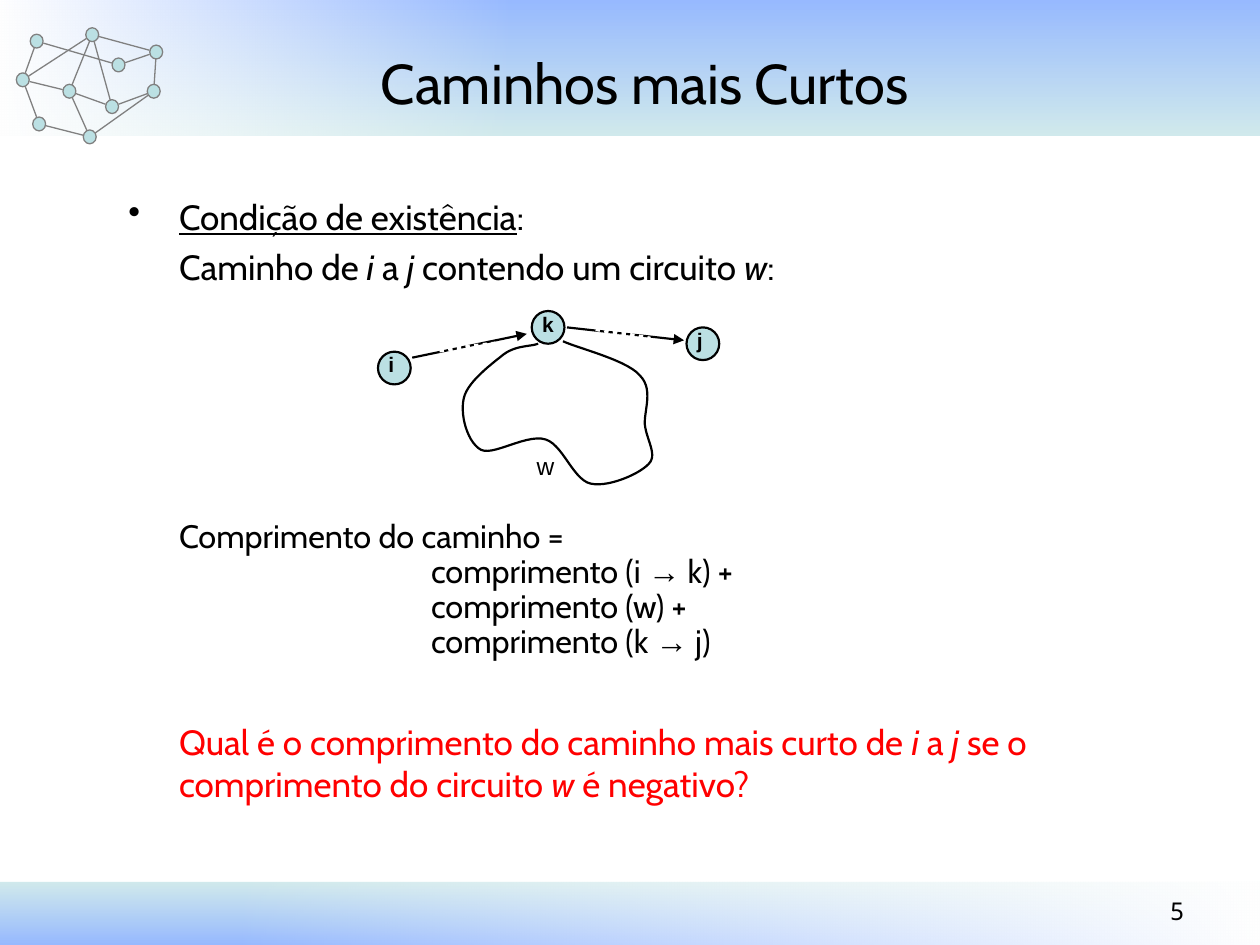
from dataclasses import dataclass
from math import hypot

from lxml import etree
from pptx import Presentation
from pptx import util as u
from pptx.dml.color import RGBColor
from pptx.enum import dml, shapes, text
from pptx.oxml.ns import qn


@dataclass(frozen=True)
class Theme:
    ink: str = "000000"
    paper: str = "FFFFFF"
    node: str = "BBE0E3"
    blue: str = "6699FF"
    grey: str = "808080"
    alert: str = "FF0000"
    font: str = "Cabin"
    plain: str = "Arial"
    mono: str = "Noto Sans Mono"
    title: float = 32
    body: float = 20
    formula: float = 18.5
    small: float = 14
    label: float = 12
    thin: float = 0.75
    line: float = 1.25
    dots: float = 2.5


theme = Theme()
WIDTH, HEIGHT = 25.4, 19.05
INDENT, FORMULA_INDENT = 1.02, 6.1

TINT = ((theme.node, 68), (theme.blue, 68))
FADE = ((theme.paper, 0), (theme.paper, 100))
BANDS = [
    ((0, 17.78, WIDTH, 1.27), TINT, 270),
    ((4.62, 17.78, 20.78, 1.27), FADE, 0),
    ((0, 0, WIDTH, 2.74), TINT, 90),
    ((0, 0, 10.36, 2.74), FADE, 180),
]

EMBLEM_SIZE = (0.26, 0.28)
EMBLEM_NODES = [
    (0.61, 0.69), (0.33, 1.47), (1.73, 0.56), (1.27, 1.7), (0.66, 2.36),
    (2.26, 1.17), (3.02, 0.91), (2.13, 2.01), (2.97, 1.7), (1.68, 2.62),
]
EMBLEM_EDGES = [
    (1, 4), (1, 3), (0, 5), (5, 6), (2, 3), (3, 7), (3, 9), (0, 1),
    (2, 7), (4, 9), (7, 8), (2, 6), (6, 8), (9, 8), (1, 2),
]

VERTEX_SIZE = 0.66
VERTICES = {"k": (10.72, 6.27), "j": (13.84, 6.6), "i": (7.62, 7.09)}
PATHS = [
    (((8.31, 7.21), (10.62, 6.73)), ((8.86, 7.06), (9.98, 6.93))),
    (((11.43, 6.6), (13.79, 6.86)), ((12.01, 6.63), (13.11, 6.83))),
]
CIRCUIT_START = (11.35, 6.88)
CIRCUIT = [
    ((11.61, 7.01), (12.65, 7.26), (12.9, 7.57)),
    ((13.18, 7.85), (12.98, 8.28), (13, 8.56)),
    ((13.03, 8.86), (13.26, 9.17), (13.08, 9.35)),
    ((12.9, 9.55), (12.27, 9.83), (11.91, 9.75)),
    ((11.56, 9.68), (11.35, 8.97), (11, 8.86)),
    ((10.62, 8.74), (9.96, 9.19), (9.7, 9.07)),
    ((9.42, 8.92), (9.27, 8.36), (9.35, 8.03)),
    ((9.42, 7.7), (9.91, 7.34), (10.16, 7.14)),
    ((10.41, 6.96), (10.69, 6.99), (10.85, 6.93)),
]

TITLE = [["Caminhos mais Curtos"]]
CONDITION = [
    [("Condição de existência", "underline"), ":"],
    ["Caminho de ", ("i", "italic"), " a ", ("j", "italic"),
     " contendo um circuito ", ("w", "italic"), ":"],
]
FORMULA = [
    ["Comprimento do caminho ="],
    ["comprimento (i ", ("→", "arrow"), " k) +"],
    ["comprimento (w) +"],
    ["comprimento (k ", ("→", "arrow"), " j)"],
]
QUESTION = [
    ["Qual é o comprimento do caminho mais curto de ", ("i", "italic"), " a ",
     ("j", "italic"), " se o comprimento do circuito ", ("w", "italic"),
     " é negativo?"],
]


def cm(values):
    return [u.Cm(value) for value in values]


def colour(value):
    return RGBColor.from_string(value)


def add_band(page, area, stops, angle):
    band = page.shapes.add_shape(shapes.MSO_SHAPE.RECTANGLE, *cm(area))
    band.shadow.inherit = False
    band.line.fill.background()
    band.fill.gradient()
    band.fill.gradient_angle = angle
    for stop, (value, _) in zip(band.fill.gradient_stops, stops):
        stop.color.rgb = colour(value)
    for element, (_, opacity) in zip(band._element.iter(qn("a:srgbClr")), stops):
        etree.SubElement(element, qn("a:alpha"), val=str(opacity * 1000))


def add_circle(page, corner, size, line, width):
    circle = page.shapes.add_shape(shapes.MSO_SHAPE.OVAL, *cm(corner + size))
    circle.shadow.inherit = False
    circle.fill.solid()
    circle.fill.fore_color.rgb = colour(theme.node)
    circle.line.color.rgb = colour(line)
    circle.line.width = u.Pt(width)


def add_line(page, start, end, value, width, arrow=False, dotted=False):
    line = page.shapes.add_connector(
        shapes.MSO_CONNECTOR.STRAIGHT, *cm(start + end))
    line.line.color.rgb = colour(value)
    line.line.width = u.Pt(width)
    if dotted:
        line.line.dash_style = dml.MSO_LINE.ROUND_DOT
    if arrow:
        etree.SubElement(line.line._get_or_add_ln(), qn("a:tailEnd"), type="triangle")
    etree.SubElement(line._element.spPr, qn("a:effectLst"))


def add_text(page, area, paragraphs, size, font=theme.font, value=theme.ink,
             bold=False, align=None, indents=(), before=0, spacing=None):
    box = page.shapes.add_textbox(*cm(area))
    frame = box.text_frame
    frame.word_wrap = True
    for index, pieces in enumerate(paragraphs):
        para = frame.paragraphs[0] if index == 0 else frame.add_paragraph()
        para.alignment = align
        para.space_before = u.Pt(before)
        para.line_spacing = spacing
        if indents:
            para._p.get_or_add_pPr().set("marL", str(u.Cm(indents[index])))
        for piece in pieces:
            words, style = (piece, "") if isinstance(piece, str) else piece
            span = para.add_run()
            span.text = words
            span.font.size = u.Pt(size)
            span.font.name = theme.plain if style == "arrow" else font
            span.font.color.rgb = colour(value)
            span.font.bold = bold
            span.font.italic = style == "italic"
            span.font.underline = style == "underline"
    return frame


def add_bullet(para):
    properties = para._p.get_or_add_pPr()
    properties.set("indent", str(-u.Cm(INDENT)))
    etree.SubElement(properties, qn("a:buChar"), char="•")


def add_emblem(page):
    for corner in EMBLEM_NODES:
        add_circle(page, corner, EMBLEM_SIZE, theme.grey, theme.thin)
    half_width, half_height = (side / 2 for side in EMBLEM_SIZE)
    for first, last in EMBLEM_EDGES:
        (x1, y1), (x2, y2) = [(x + half_width, y + half_height) for x, y in
                              (EMBLEM_NODES[first], EMBLEM_NODES[last])]
        trim = half_height / hypot(x2 - x1, y2 - y1)
        dx, dy = (x2 - x1) * trim, (y2 - y1) * trim
        add_line(page, (x1 + dx, y1 + dy), (x2 - dx, y2 - dy), theme.grey, theme.thin)


def curve_points(start, curves, steps=14):
    for first, second, end in curves:
        for step in range(1, steps + 1):
            t = step / steps
            weights = ((1 - t) ** 3, 3 * t * (1 - t) ** 2, 3 * t * t * (1 - t), t ** 3)
            corners = (start, first, second, end)
            yield tuple(sum(w * point[axis] for w, point in zip(weights, corners))
                        for axis in (0, 1))
        start = end


def add_circuit(page):
    builder = page.shapes.build_freeform(*cm(CIRCUIT_START))
    points = [cm(point) for point in curve_points(CIRCUIT_START, CIRCUIT)]
    builder.add_line_segments(points, close=False)
    circuit = builder.convert_to_shape()
    circuit.shadow.inherit = False
    circuit.fill.background()
    circuit.line.color.rgb = colour(theme.ink)
    circuit.line.width = u.Pt(theme.line)


def add_diagram(page):
    for name, (x, y) in VERTICES.items():
        add_circle(page, (x, y), (VERTEX_SIZE, VERTEX_SIZE), theme.ink, theme.line)
        add_text(page, (x - 0.04, y - 0.12, 0.99, 0.76), [[name]], theme.label,
                 font=theme.plain, bold=True, before=7.5)
    for route, gap in PATHS:
        add_line(page, *route, theme.ink, theme.line, arrow=True)
        add_line(page, *gap, theme.paper, theme.dots, dotted=True)
    add_circuit(page)
    add_text(page, (10.57, 8.97, 1.17, 0.86), [["w"]], theme.small,
             font=theme.plain, before=8.8)


def main():
    deck = Presentation()
    deck.slide_width, deck.slide_height = cm((WIDTH, HEIGHT))
    page = deck.slides.add_slide(deck.slide_layouts[6])
    for band in BANDS:
        add_band(page, *band)
    add_emblem(page)
    title = add_text(page, (4.01, 0.76, 17.98, 1.78), TITLE, theme.title,
                     align=text.PP_ALIGN.CENTER)
    title.vertical_anchor = text.MSO_ANCHOR.MIDDLE
    condition = add_text(page, (2.34, 3.81, 21.59, 3.61), CONDITION, theme.body,
                         indents=[INDENT] * 2, before=5)
    add_bullet(condition.paragraphs[0])
    add_diagram(page)
    add_text(page, (2.34, 10.36, 21.59, 3.61), FORMULA, theme.formula,
             indents=[INDENT] + [FORMULA_INDENT] * 3, spacing=0.9)
    add_text(page, (2.34, 14.4, 21.59, 2.34), QUESTION, theme.body,
             value=theme.alert, indents=[INDENT])
    add_text(page, (22.23, 17.93, 1.9, 1.12), [["5"]], theme.small,
             font=theme.mono, align=text.PP_ALIGN.RIGHT)
    deck.save("out.pptx")


if __name__ == "__main__":
    main()
